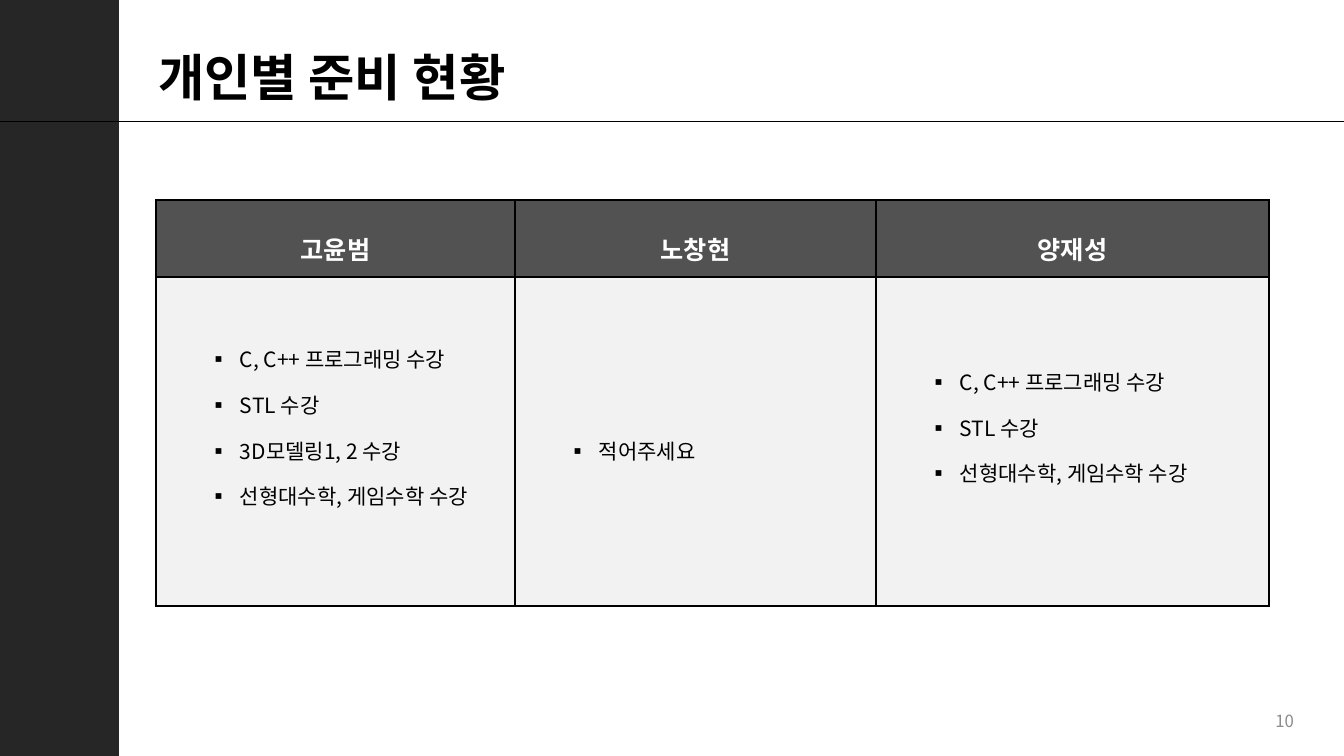
"""Build the slide on each member's preparation status."""
from lxml import etree
from pptx import Presentation
from pptx import util as u
from pptx.dml.color import RGBColor
from pptx.enum import shapes, text
from pptx.oxml import ns

TITLE = "개인별 준비 현황"
PAGE = "10"
MEMBERS = {
    "고윤범": ["C, C++ 프로그래밍 수강", "STL 수강", "3D모델링1, 2 수강", "선형대수학, 게임수학 수강"],
    "노창현": ["적어주세요"],
    "양재성": ["C, C++ 프로그래밍 수강", "STL 수강", "선형대수학, 게임수학 수강"],
}
COLORS = {"side": "262626", "ink": "000000", "head": "525252", "body": "F2F2F2",
          "white": "FFFFFF", "page": "8C8C8C"}
FONT = "Noto Sans CJK KR"
WIDTH, HEIGHT = 1344, 756
SIDE_W, RULE_Y = 118, 121
TABLE_X, TABLE_Y = 156, 200
COLS, ROWS = (359, 361, 393), (77, 329)
INSET, LINE_H, INDENT, HANG = 2, 46, 82, 31


def px(n):
    return u.Emu(round(n * 914400 / 100.8))


def rgb(name):
    return RGBColor.from_string(COLORS[name])


def sub(parent, tag, **attrs):
    return etree.SubElement(parent, ns.qn(tag), attrs)


def write(p, words, size, color, bold=False, **layout):
    for name, value in layout.items():
        setattr(p, name, value)
    r = p.add_run()
    r.text = words
    for name, value in {"name": FONT, "size": u.Pt(size), "bold": bold}.items():
        setattr(r.font, name, value)
    r.font.color.rgb = rgb(color)
    sub(r.font._element, "a:ea", typeface=FONT)


def add_bullet(p):
    p.level = 1
    pPr = p._p.get_or_add_pPr()
    pPr.set("marL", str(px(INDENT)))
    pPr.set("indent", str(-px(HANG)))
    sub(pPr, "a:buFont", typeface=FONT)
    sub(pPr, "a:buChar", char="▪")


def style_cell(cell, fill, bottom=0):
    margins = {"left": INSET, "right": INSET, "top": INSET, "bottom": bottom}
    for side, value in margins.items():
        setattr(cell, f"margin_{side}", px(value))
    cell.vertical_anchor = text.MSO_ANCHOR.MIDDLE
    tcPr = cell._tc.get_or_add_tcPr()
    for edge in "LRTB":
        ln = sub(tcPr, f"a:ln{edge}", w=str(u.Pt(1)))
        sub(sub(ln, "a:solidFill"), "a:srgbClr", val=COLORS["ink"])
    cell.fill.solid()
    cell.fill.fore_color.rgb = rgb(fill)


def add_frame(s):
    side = s.shapes.add_shape(shapes.MSO_SHAPE.RECTANGLE, 0, 0, px(SIDE_W), px(HEIGHT))
    side.shadow.inherit = False
    side.fill.solid()
    side.fill.fore_color.rgb = side.line.color.rgb = rgb("side")
    side.line.width = u.Pt(1)
    rule = s.shapes.add_connector(shapes.MSO_CONNECTOR.STRAIGHT, 0, px(RULE_Y), px(WIDTH), px(RULE_Y))
    rule.line.color.rgb = rgb("ink")
    rule.line.width = u.Pt(0.5)
    sub(rule._element.spPr, "a:effectLst")


def add_title(s):
    title = s.shapes.title
    for name, value in {"left": 148, "top": 40, "width": 1120, "height": 81}.items():
        setattr(title, name, px(value))
    tf = title.text_frame
    tf.auto_size = text.MSO_AUTO_SIZE.NONE
    tf.vertical_anchor = text.MSO_ANCHOR.MIDDLE
    write(tf.paragraphs[0], TITLE, 36, "ink", True, alignment=text.PP_ALIGN.LEFT, line_spacing=0.9)


def add_page_number(s):
    tf = s.shapes.add_textbox(px(1002), px(701), px(302), px(40)).text_frame
    tf.word_wrap = True
    tf.vertical_anchor = text.MSO_ANCHOR.MIDDLE
    write(tf.paragraphs[0], PAGE, 12, "page", alignment=text.PP_ALIGN.RIGHT)


def add_status_table(s):
    table = s.shapes.add_table(len(ROWS), len(COLS), px(TABLE_X), px(TABLE_Y),
                               px(sum(COLS)), px(sum(ROWS))).table
    for row, height in zip(table.rows, ROWS):
        row.height = px(height)
    for i, (name, items) in enumerate(MEMBERS.items()):
        table.columns[i].width = px(COLS[i])
        head, body = table.cell(0, i), table.cell(1, i)
        style_cell(head, "head")
        write(head.text_frame.paragraphs[0], name, 18, "white", True,
              alignment=text.PP_ALIGN.CENTER, line_spacing=1.5)
        style_cell(body, "body", LINE_H if len(items) > 1 else 0)
        tf = body.text_frame
        for n, item in enumerate(items):
            p = tf.add_paragraph() if n else tf.paragraphs[0]
            add_bullet(p)
            write(p, item, 15, "ink", line_spacing=1.5)


def main():
    prs = Presentation()
    prs.slide_width, prs.slide_height = px(WIDTH), px(HEIGHT)
    s = prs.slides.add_slide(prs.slide_layouts[5])
    add_frame(s)
    add_title(s)
    add_page_number(s)
    add_status_table(s)
    prs.save("out.pptx")


if __name__ == "__main__":
    main()
